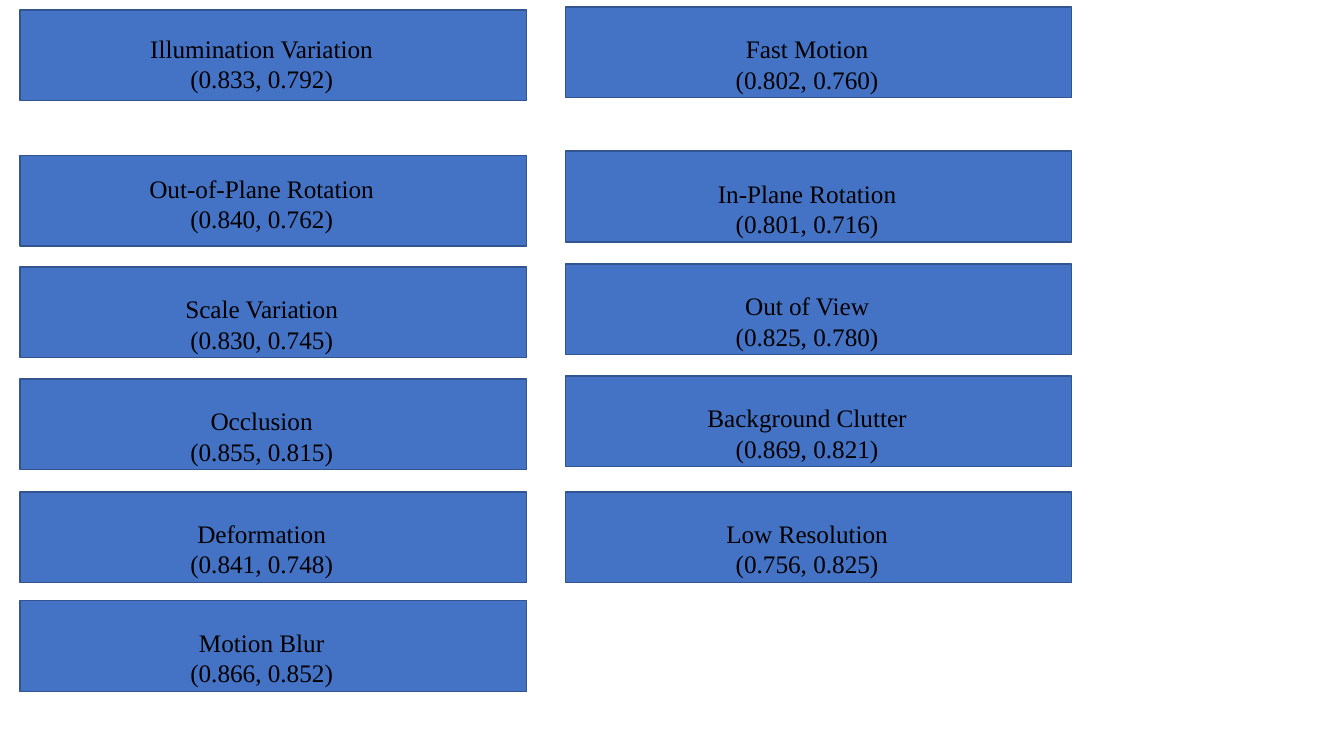
from pptx import Presentation
from pptx.dml.color import RGBColor
from pptx.enum.shapes import MSO_SHAPE as SHAPE
from pptx.enum.text import MSO_AUTO_SIZE as AUTO, PP_ALIGN as ALIGN
from pptx.util import Inches, Pt

TEXT_DROP = 0.215
COLUMNS = {
    5.61: [
        (0.07, TEXT_DROP, "Fast Motion", "(0.802, 0.760)"),
        (1.5, TEXT_DROP, "In-Plane Rotation", "(0.801, 0.716)"),
        (2.62, TEXT_DROP, "Out of View", "(0.825, 0.780)"),
        (3.73, TEXT_DROP, "Background Clutter", "(0.869, 0.821)"),
        (4.88, TEXT_DROP, "Low Resolution", "(0.756, 0.825)"),
    ],
    0.2: [
        (0.1, 0.18, "Illumination Variation", "(0.833, 0.792)"),
        (1.54, 0.13, "Out-of-Plane Rotation", "(0.840, 0.762)"),
        (2.65, TEXT_DROP, "Scale Variation", "(0.830, 0.745)"),
        (3.76, TEXT_DROP, "Occlusion", "(0.855, 0.815)"),
        (4.88, TEXT_DROP, "Deformation", "(0.841, 0.748)"),
        (5.96, TEXT_DROP, "Motion Blur", "(0.866, 0.852)"),
    ],
}
BLUE = RGBColor(0x44, 0x72, 0xC4)
DARK_BLUE = RGBColor(0x32, 0x54, 0x91)
BLACK = RGBColor(0, 0, 0)
FONT = {"name": "Times New Roman", "size": Pt(18)}
BOX_W, BOX_H = 5.02, 0.9
LABEL_W, LABEL_H = 4.25, 0.71
LABEL_INDENT = 0.27


def add_box(s, left, top):
    sp = s.shapes.add_shape(SHAPE.RECTANGLE, Inches(left), Inches(top),
                            Inches(BOX_W), Inches(BOX_H))
    sp.shadow.inherit = False
    sp.fill.solid()
    sp.fill.fore_color.rgb = BLUE
    sp.line.color.rgb = DARK_BLUE
    sp.line.width = Pt(1)


def add_label(s, left, top, lines):
    sp = s.shapes.add_textbox(Inches(left), Inches(top),
                              Inches(LABEL_W), Inches(LABEL_H))
    tf = sp.text_frame
    tf.word_wrap = True
    tf.auto_size = AUTO.SHAPE_TO_FIT_TEXT
    tf.text = "\n".join(lines)
    for p in tf.paragraphs:
        p.alignment = ALIGN.CENTER
        for r in p.runs:
            r.font.color.rgb = BLACK
            for key, value in FONT.items():
                setattr(r.font, key, value)


prs = Presentation()
prs.slide_width, prs.slide_height = Inches(13.33), Inches(7.5)
s = prs.slides.add_slide(prs.slide_layouts[6])
for left, boxes in COLUMNS.items():
    for top, drop, *lines in boxes:
        add_box(s, left, top)
        add_label(s, left + LABEL_INDENT, top + drop, lines)
prs.save("out.pptx")
